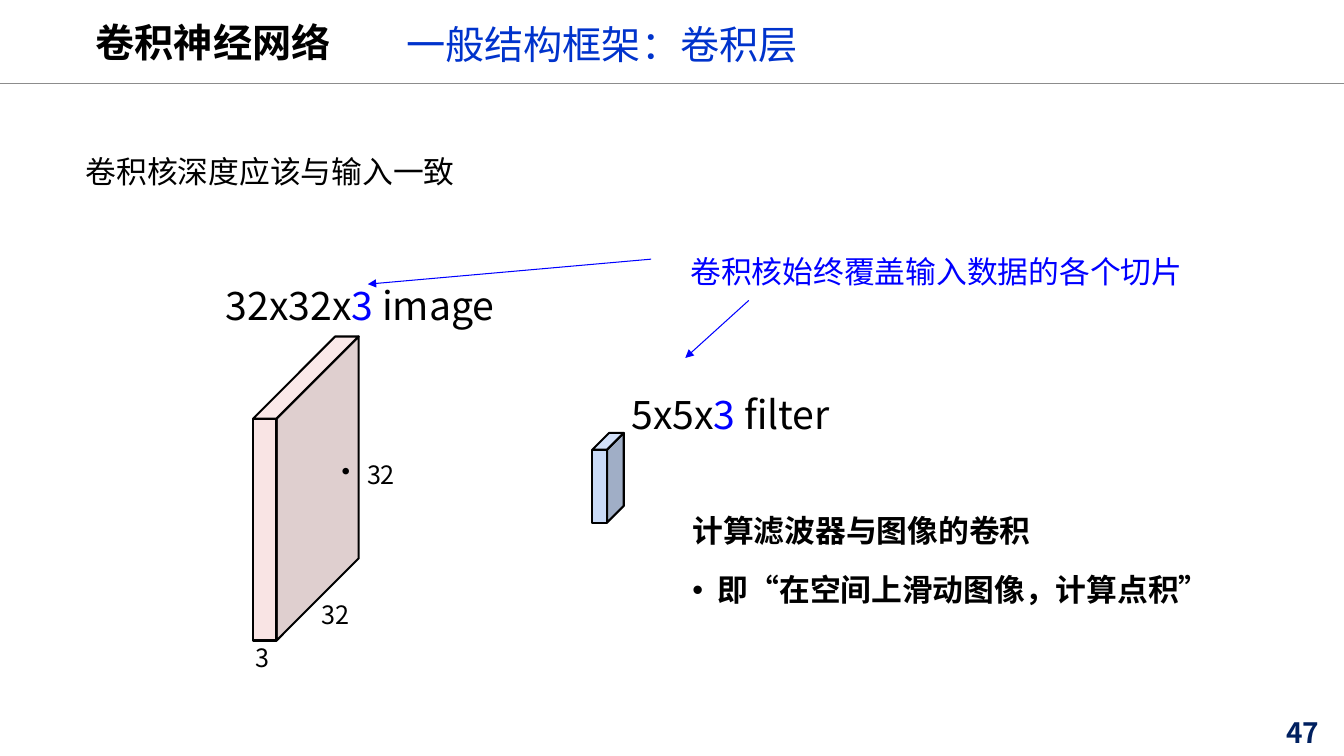
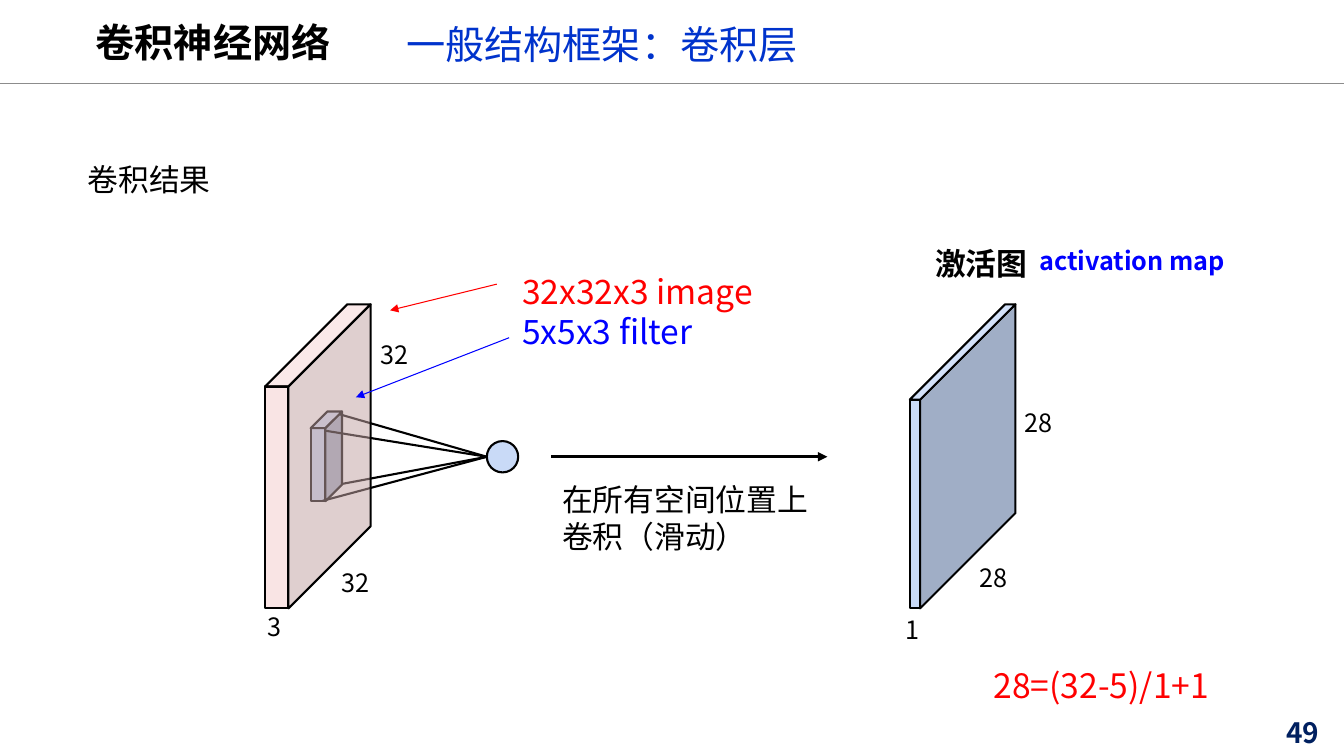
from dataclasses import dataclass

from lxml.etree import SubElement
from pptx import Presentation
from pptx.dml.color import RGBColor
from pptx.enum.shapes import MSO_CONNECTOR, MSO_SHAPE
from pptx.enum.text import MSO_ANCHOR, MSO_AUTO_SIZE, PP_ALIGN
from pptx.oxml.ns import qn
from pptx.shapes.autoshape import Shape
from pptx.shapes.connector import Connector
from pptx.slide import Slide, SlideLayout
from pptx.text.text import TextFrame
from pptx.util import Cm, Pt

FONT = "Noto Sans CJK SC"
BLACK, BLUE, RED = "000000", "0000FF", "FF0000"
HEADING_BLUE, NAVY, RULE_GREY = "0033CC", "002060", "8C8C8C"
SLIDE_WIDTH, SLIDE_HEIGHT = 33.87, 19.05
BULLET_INDENT = 0.64


@dataclass(frozen=True)
class Span:
    """A piece of text in one colour."""

    text: str
    color: str = BLACK


@dataclass(frozen=True)
class Line:
    """A paragraph made of spans."""

    spans: tuple[Span, ...]
    bullet: bool = False
    space_before: float = 0


@dataclass(frozen=True)
class Caption:
    """A block of text with its place in centimetres."""

    left: float
    top: float
    lines: tuple[Line, ...]
    size: float = 18
    bold: bool = False
    width: float = 8
    height: float = 1
    spacing: float = 1.0


@dataclass(frozen=True)
class Palette:
    """The face colours of a block and their opacity in percent."""

    front: str
    side: str
    lid: str
    opacity: int = 100


@dataclass(frozen=True)
class Block:
    """A slanted block in centimetres, measured from its outer left and top."""

    left: float
    top: float
    width: float
    height: float
    depth: float
    palette: Palette


@dataclass(frozen=True)
class Stroke:
    """A straight line, with an arrowhead at its end if asked."""

    start: tuple[float, float]
    end: tuple[float, float]
    color: str = BLACK
    weight: float = 0.75
    arrow: bool = True


PINK = Palette("F4CCCC", "C3A3A3", "F6D6D6", 52)
PALE_BLUE = Palette("C9DAF7", "A0AEC6", "D3E1F9")


def hex_color(value: str) -> RGBColor:
    """Turn a hex string into a colour."""
    return RGBColor.from_string(value)


def plain(text: str, color: str = BLACK, **options) -> Line:
    """Make a line of a single span."""
    return Line((Span(text, color),), **options)


def label(left: float, top: float, text: str) -> Caption:
    """Make a small dimension label."""
    return Caption(left, top, (plain(text),), width=1.2)


def image_block(left: float, top: float) -> Block:
    """Make the input image volume."""
    return Block(left, top, 0.59, 5.59, 2.07, PINK)


def filter_block(left: float, top: float) -> Block:
    """Make the filter volume."""
    return Block(left, top, 0.37, 1.84, 0.42, PALE_BLUE)


def write(frame: TextFrame, caption: Caption) -> None:
    """Fill a text frame with the lines of a caption."""
    frame_format = {
        "margin_left": 0, "margin_top": 0, "margin_right": 0, "margin_bottom": 0,
        "word_wrap": True, "auto_size": MSO_AUTO_SIZE.NONE,
        "vertical_anchor": MSO_ANCHOR.TOP,
    }
    for name, value in frame_format.items():
        setattr(frame, name, value)
    for index, line in enumerate(caption.lines):
        paragraph = frame.paragraphs[0] if index == 0 else frame.add_paragraph()
        properties = paragraph._p.get_or_add_pPr()
        indent = Cm(BULLET_INDENT) if line.bullet else 0
        properties.set("marL", str(indent))
        properties.set("indent", str(-indent))
        if line.bullet:
            SubElement(properties, qn("a:buChar")).set("char", "•")
        else:
            SubElement(properties, qn("a:buNone"))
        paragraph_format = {
            "alignment": PP_ALIGN.LEFT,
            "line_spacing": caption.spacing,
            "space_before": Pt(line.space_before),
        }
        for name, value in paragraph_format.items():
            setattr(paragraph, name, value)
        for span in line.spans:
            run = paragraph.add_run()
            run.text = span.text
            font_format = {"name": FONT, "size": Pt(caption.size), "bold": caption.bold}
            for name, value in font_format.items():
                setattr(run.font, name, value)
            run.font.color.rgb = hex_color(span.color)
            SubElement(run._r.get_or_add_rPr(), qn("a:ea")).set("typeface", FONT)


def add_caption(slide: Slide, caption: Caption) -> None:
    """Place a caption in a text box."""
    box = slide.shapes.add_textbox(
        Cm(caption.left), Cm(caption.top), Cm(caption.width), Cm(caption.height))
    write(box.text_frame, caption)


def fill_placeholder(placeholder: Shape, caption: Caption) -> None:
    """Move a placeholder to the place of a caption and write it."""
    for name in ("left", "top", "width", "height"):
        setattr(placeholder, name, Cm(getattr(caption, name)))
    write(placeholder.text_frame, caption)


def paint(shape: Shape, fill: str, opacity: int = 100) -> None:
    """Give a shape its fill and black outline."""
    shape.shadow.inherit = False
    shape.fill.solid()
    shape.fill.fore_color.rgb = hex_color(fill)
    shape.line.color.rgb = hex_color(BLACK)
    shape.line.width = Pt(1.5)
    if opacity < 100:
        color = shape.element.spPr.find(qn("a:solidFill"))[0]
        SubElement(color, qn("a:alpha")).set("val", str(opacity * 1000))


def add_block(slide: Slide, block: Block) -> None:
    """Draw the three visible faces of a block."""
    left, middle = block.left, block.left + block.width
    top, front_top = block.top, block.top + block.depth
    bottom, right = front_top + block.height, middle + block.depth
    palette = block.palette
    faces = (
        (palette.front, ((left, front_top), (middle, front_top),
                         (middle, bottom), (left, bottom))),
        (palette.side, ((middle, bottom), (middle, front_top),
                        (right, top), (right, top + block.height))),
        (palette.lid, ((middle, front_top), (left, front_top),
                       (left + block.depth, top), (right, top))),
    )
    for color, corners in faces:
        first, *others = [(Cm(x), Cm(y)) for x, y in corners]
        outline = slide.shapes.build_freeform(*first)
        outline.add_line_segments(others, close=True)
        paint(outline.convert_to_shape(), color, palette.opacity)


def add_stroke(slide: Slide, stroke: Stroke) -> Connector:
    """Draw a straight line or arrow."""
    ends = [Cm(value) for value in (*stroke.start, *stroke.end)]
    connector = slide.shapes.add_connector(MSO_CONNECTOR.STRAIGHT, *ends)
    connector.line.color.rgb = hex_color(stroke.color)
    connector.line.width = Pt(stroke.weight)
    properties = connector.element.spPr
    if stroke.arrow:
        SubElement(properties.find(qn("a:ln")), qn("a:tailEnd")).set("type", "triangle")
    SubElement(properties, qn("a:effectLst"))
    return connector


def add_slide(deck: Presentation, layout: SlideLayout, number: str) -> Slide:
    """Start a slide with its title, subtitle and number."""
    slide = deck.slides.add_slide(layout)
    fill_placeholder(slide.shapes.title, Caption(
        2.41, 0.46, (plain("卷积神经网络"),), 28, True, 7))
    add_caption(slide, Caption(
        10.24, 0.64, (plain("一般结构框架：卷积层", HEADING_BLUE),), 28, width=14, spacing=0.9))
    add_caption(slide, Caption(32.41, 18.03, (plain(number, NAVY),), 20, True, 1.4))
    return slide


def build_filter_slide(deck: Presentation) -> Slide:
    """Show that the filter is as deep as the input."""
    slide = add_slide(deck, deck.slide_layouts[1], "47")
    fill_placeholder(slide.placeholders[1], Caption(
        17.45, 12.9,
        (plain("计算滤波器与图像的卷积"),
         plain("即“在空间上滑动图像，计算点积”", bullet=True, space_before=15.8)),
        22, True, 14, 3))
    for block in (image_block(6.38, 8.48), filter_block(14.93, 10.91)):
        add_block(slide, block)
    captions = (
        Caption(2.16, 3.84, (plain("卷积核深度应该与输入一致"),), 22, width=12),
        Caption(17.4, 6.38, (plain("卷积核始终覆盖输入数据的各个切片", BLUE),), 22, width=13.5),
        Caption(5.69, 7.09, (Line((Span("32x32x"), Span("3 ", BLUE), Span("image"))),), 28),
        Caption(15.91, 9.83, (Line((Span("5x5x"), Span("3 ", BLUE), Span("filter"))),), 28),
        Caption(8.61, 11.58, (plain("32", bullet=True),), width=2),
        label(8.1, 15.11, "32"),
        label(6.43, 16.19, "3"),
    )
    for caption in captions:
        add_caption(slide, caption)
    add_stroke(slide, Stroke((16.41, 6.53), (9.27, 7.16), BLUE))
    add_stroke(slide, Stroke((18.87, 7.57), (17.27, 9.02), BLUE))
    return slide


def build_result_slide(deck: Presentation) -> None:
    """Show the activation map that the convolution yields."""
    slide = add_slide(deck, deck.slide_layouts[5], "49")
    add_block(slide, filter_block(7.83, 10.37))
    axis, neuron_left, diameter = 11.51, 12.27, 0.79
    neuron = slide.shapes.add_shape(
        MSO_SHAPE.OVAL, Cm(neuron_left), Cm(axis - diameter / 2), Cm(diameter), Cm(diameter))
    paint(neuron, PALE_BLUE.front)
    for corner in ((8.13, 12.62), (8.18, 10.85), (8.56, 10.44), (8.64, 12.19)):
        add_stroke(slide, Stroke(corner, (neuron_left, axis), weight=1.5, arrow=False))
    add_block(slide, image_block(6.68, 7.67))
    add_block(slide, Block(22.93, 7.67, 0.26, 5.26, 2.4, PALE_BLUE))
    captions = (
        Caption(2.21, 4.04, (plain("卷积结果"),), 22),
        Caption(13.16, 6.83, (plain("32x32x3 image", RED), plain("5x5x3 filter", BLUE)), 24),
        Caption(14.17, 12.12, (plain("在所有空间位置上卷积（滑动）"),), 22, width=6.7, height=2),
        Caption(23.57, 6.17, (plain("激活图"),), 22, True, 2.6),
        Caption(26.19, 6.17, (plain("activation map", BLUE),), 18, True, 5.2),
        Caption(25.04, 16.76, (plain("28=(32-5)/1+1", RED),), 24, width=6.5),
        label(9.6, 8.56, "32"),
        label(8.61, 14.3, "32"),
        label(6.73, 15.4, "3"),
        label(25.81, 10.26, "28"),
        label(24.69, 14.17, "28"),
        label(22.83, 15.48, "1"),
    )
    for caption in captions:
        add_caption(slide, caption)
    add_stroke(slide, Stroke((12.52, 7.16), (9.83, 7.82), RED))
    add_stroke(slide, Stroke((12.83, 8.51), (8.97, 10.01), BLUE))
    add_stroke(slide, Stroke((13.89, axis), (20.85, axis), weight=2.25))


def main() -> None:
    """Build and save the deck."""
    deck = Presentation()
    deck.slide_width, deck.slide_height = Cm(SLIDE_WIDTH), Cm(SLIDE_HEIGHT)
    first_slide = build_filter_slide(deck)
    header_rule = add_stroke(first_slide, Stroke(
        (0, 2.11), (SLIDE_WIDTH, 2.11), RULE_GREY, 1, False))
    deck.slide_master.shapes.element.append(header_rule.element)
    build_result_slide(deck)
    deck.save("out.pptx")


if __name__ == "__main__":
    main()
